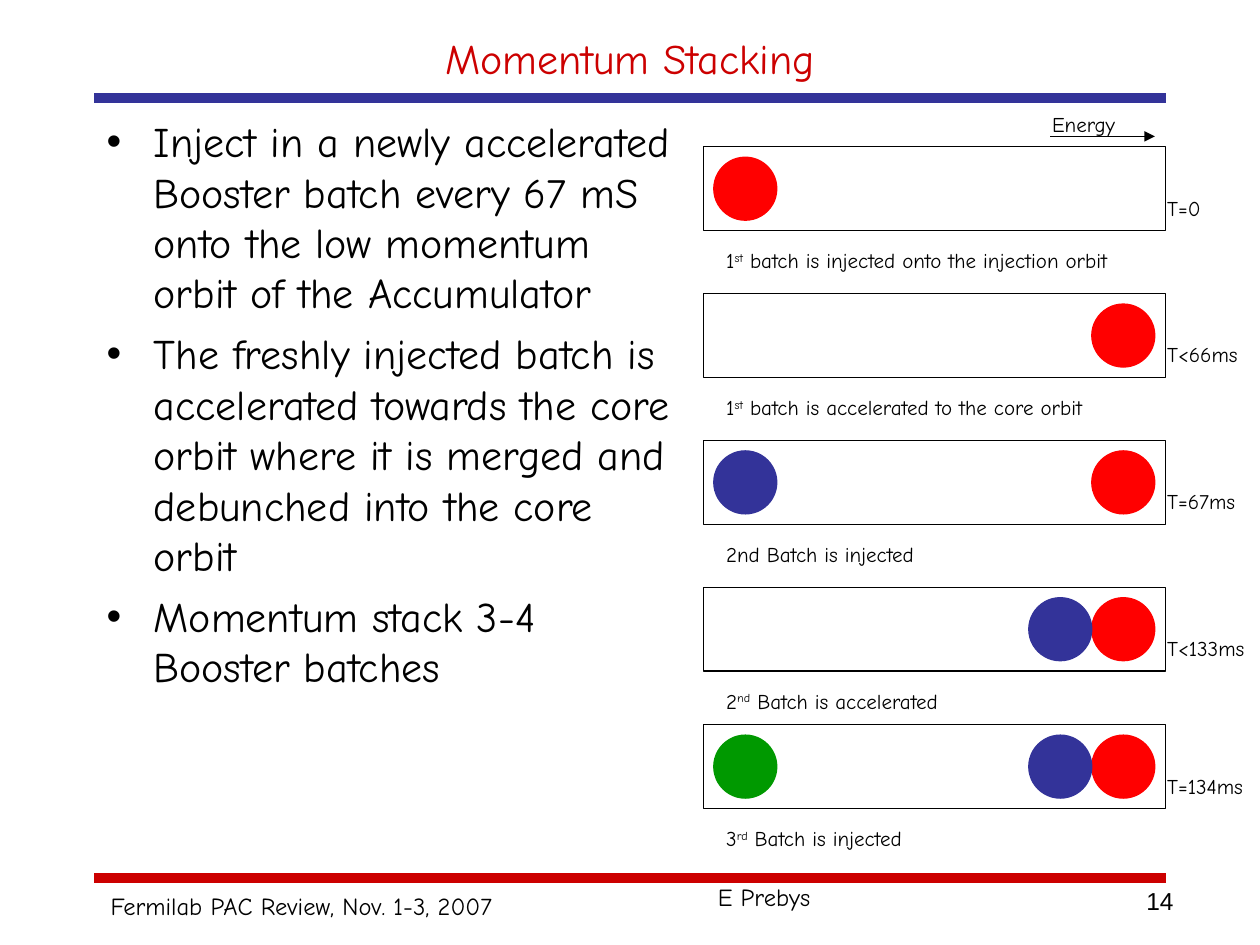
from dataclasses import dataclass

from pptx import Presentation
from pptx.dml.color import RGBColor
from pptx.enum.shapes import MSO_CONNECTOR, MSO_SHAPE
from pptx.enum.text import MSO_ANCHOR, PP_ALIGN
from pptx.oxml.ns import qn
from pptx.slide import Slide
from pptx.util import Cm, Pt
from lxml import etree

BLACK = RGBColor(0x00, 0x00, 0x00)
CRIMSON = RGBColor(0xCC, 0x00, 0x00)
RED = RGBColor(0xFF, 0x00, 0x00)
BLUE = RGBColor(0x33, 0x33, 0x99)
GREEN = RGBColor(0x00, 0x99, 0x00)

STRAIGHT = MSO_CONNECTOR.STRAIGHT
RECTANGLE, OVAL = MSO_SHAPE.RECTANGLE, MSO_SHAPE.OVAL
LEFT, CENTER, RIGHT = PP_ALIGN.LEFT, PP_ALIGN.CENTER, PP_ALIGN.RIGHT
TOP, MIDDLE = MSO_ANCHOR.TOP, MSO_ANCHOR.MIDDLE


@dataclass
class Painter:
    page: Slide
    font: str = "Comic Neue"
    thin: float = 0.75

    def line(self, x1, y1, x2, y2, color, width, arrow=False):
        line = self.page.shapes.add_connector(STRAIGHT, Cm(x1), Cm(y1), Cm(x2), Cm(y2))
        line.line.color.rgb = color
        line.line.width = Pt(width)
        if arrow:
            etree.SubElement(line.line._get_or_add_ln(), qn("a:tailEnd"), type="triangle")
        etree.SubElement(line._element.spPr, qn("a:effectLst"))

    def shape(self, kind, left, top, width, height, line, fill=None):
        shape = self.page.shapes.add_shape(kind, Cm(left), Cm(top), Cm(width), Cm(height))
        shape.shadow.inherit = False
        shape.line.color.rgb = line
        shape.line.width = Pt(self.thin)
        if fill is None:
            shape.fill.background()
        else:
            shape.fill.solid()
            shape.fill.fore_color.rgb = fill

    def text(self, left, top, width, height, paragraphs, size=12, color=BLACK,
             align=LEFT, anchor=TOP, font=None, bullets=False, wrap=True):
        """Each paragraph is a list of runs; every second run is superscript."""
        box = self.page.shapes.add_textbox(Cm(left), Cm(top), Cm(width), Cm(height))
        frame = box.text_frame
        frame.word_wrap = wrap
        frame.vertical_anchor = anchor
        for index, runs in enumerate(paragraphs):
            para = frame.add_paragraph() if index else frame.paragraphs[0]
            para.alignment = align
            if bullets:
                self.bullet(para)
            if index:
                para.space_before = Pt(6)
            for position, words in enumerate(runs):
                span = para.add_run()
                span.text = words
                span.font.name = font or self.font
                span.font.size = Pt(size)
                span.font.color.rgb = color
                if position % 2:
                    span._r.get_or_add_rPr().set("baseline", "30000")

    def bullet(self, para):
        properties = para._p.get_or_add_pPr()
        properties.set("marL", str(Cm(0.95)))
        properties.set("indent", str(Cm(-0.95)))
        etree.SubElement(properties, qn("a:buFont"), typeface="Arial")
        etree.SubElement(properties, qn("a:buChar"), char="•")


def main():
    deck = Presentation()
    deck.slide_width, deck.slide_height = Cm(25.4), Cm(19.05)
    painter = Painter(deck.slides.add_slide(deck.slide_layouts[6]))

    # Rules and footer
    painter.line(1.9, 17.7, 23.5, 17.7, CRIMSON, 6)
    painter.line(1.9, 1.98, 23.5, 1.98, BLUE, 6)
    painter.text(1.98, 17.83, 8.43, 0.86, [["Fermilab PAC Review, Nov. 1-3, 2007"]],
                 size=14, wrap=False)
    painter.text(14.22, 17.65, 7.04, 0.86, [["E Prebys"]], size=14)
    painter.text(17.98, 17.73, 5.93, 1.32, [["14"]], size=14, align=RIGHT, font="Arial")

    # Title and bullets
    painter.text(1.9, 0.43, 21.6, 1.47, [["Momentum Stacking"]],
                 size=24, color=CRIMSON, align=CENTER, anchor=MIDDLE)
    painter.text(1.9, 2.21, 11.86, 15.34, [
        ["Inject in a newly accelerated Booster batch every 67 mS onto the low "
         "momentum orbit of the Accumulator"],
        ["The freshly injected batch is accelerated towards the core orbit where "
         "it is merged and debunched into the core orbit"],
        ["Momentum stack 3-4 Booster batches"],
    ], size=24, bullets=True)

    # Energy axis
    painter.line(21.17, 2.75, 23.28, 2.75, BLACK, painter.thin, arrow=True)
    painter.text(20.96, 2.12, 2.12, 0.76, [["Energy"]])

    # Stages: top, time, time width, caption, batches by orbit position
    batch = 1.27
    injection, core = 14.39, 22.01
    beside_core = core - batch
    first_top, pitch = 2.96, 2.96
    stages = [
        (first_top, "T=0", 2.12,
         ["1", "st", " batch is injected onto the injection orbit"], {injection: RED}),
        (first_top + pitch, "T<66ms", 2.12,
         ["1", "st", " batch is accelerated to the core orbit"], {core: RED}),
        (first_top + 2 * pitch, "T=67ms", 2.12,
         ["2nd Batch is injected"], {core: RED, injection: BLUE}),
        (first_top + 3 * pitch, "T<133ms", 2.75,
         ["2", "nd", " Batch is accelerated"], {core: RED, beside_core: BLUE}),
        (14.61, "T=134ms", 2.75,
         ["3", "rd", " Batch is injected"],
         {core: RED, beside_core: BLUE, injection: GREEN}),
    ]
    for top, time, time_width, caption, batches in stages:
        painter.shape(RECTANGLE, 14.18, top, 9.31, 1.69, BLACK)
        for left, color in batches.items():
            painter.shape(OVAL, left, top + 0.21, batch, batch, color, color)
        painter.text(23.28, top + 0.85, time_width, 0.76, [[time]])
        painter.text(14.39, top + 1.91, 9.3, 0.76, [caption])

    deck.save("out.pptx")


if __name__ == "__main__":
    main()
